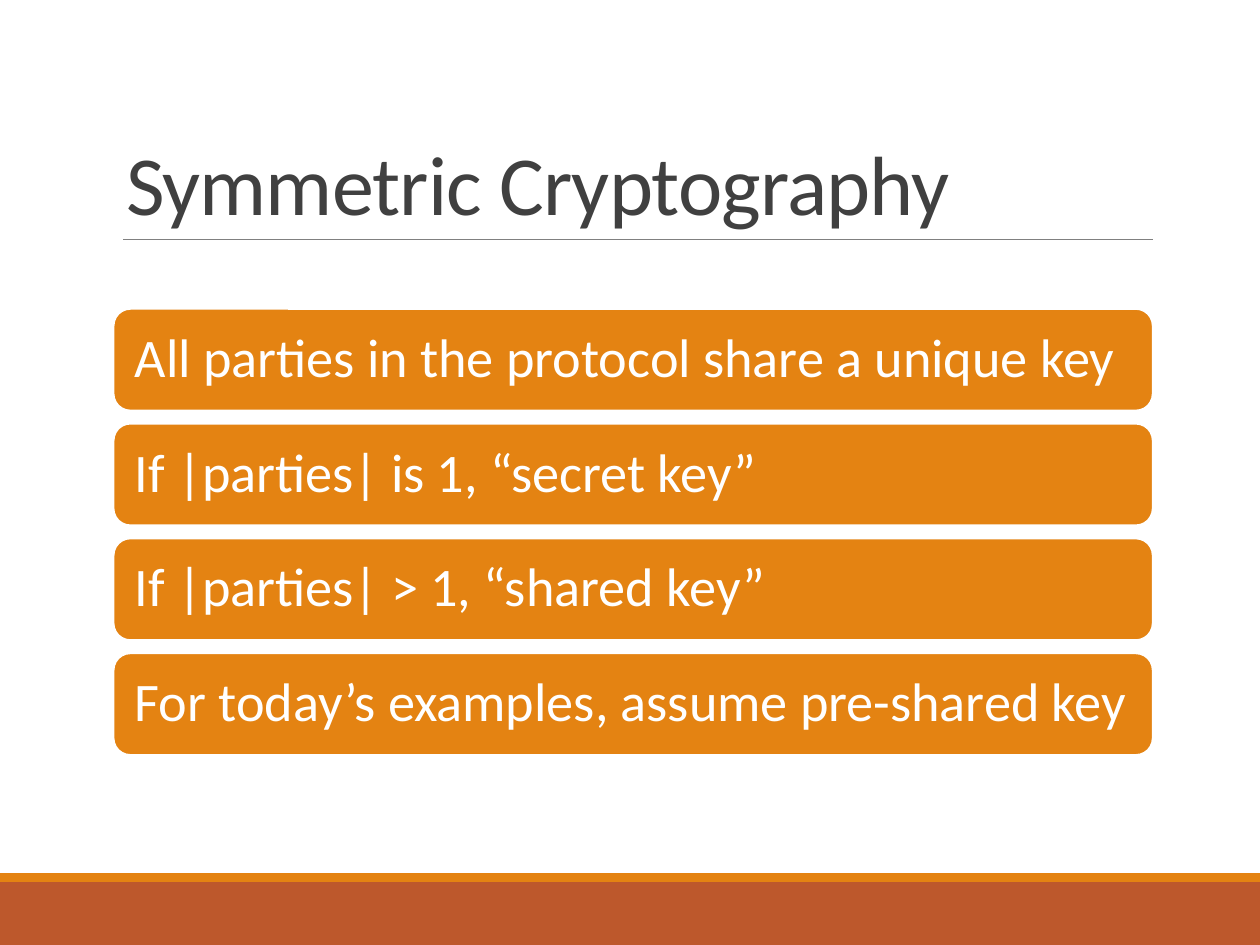
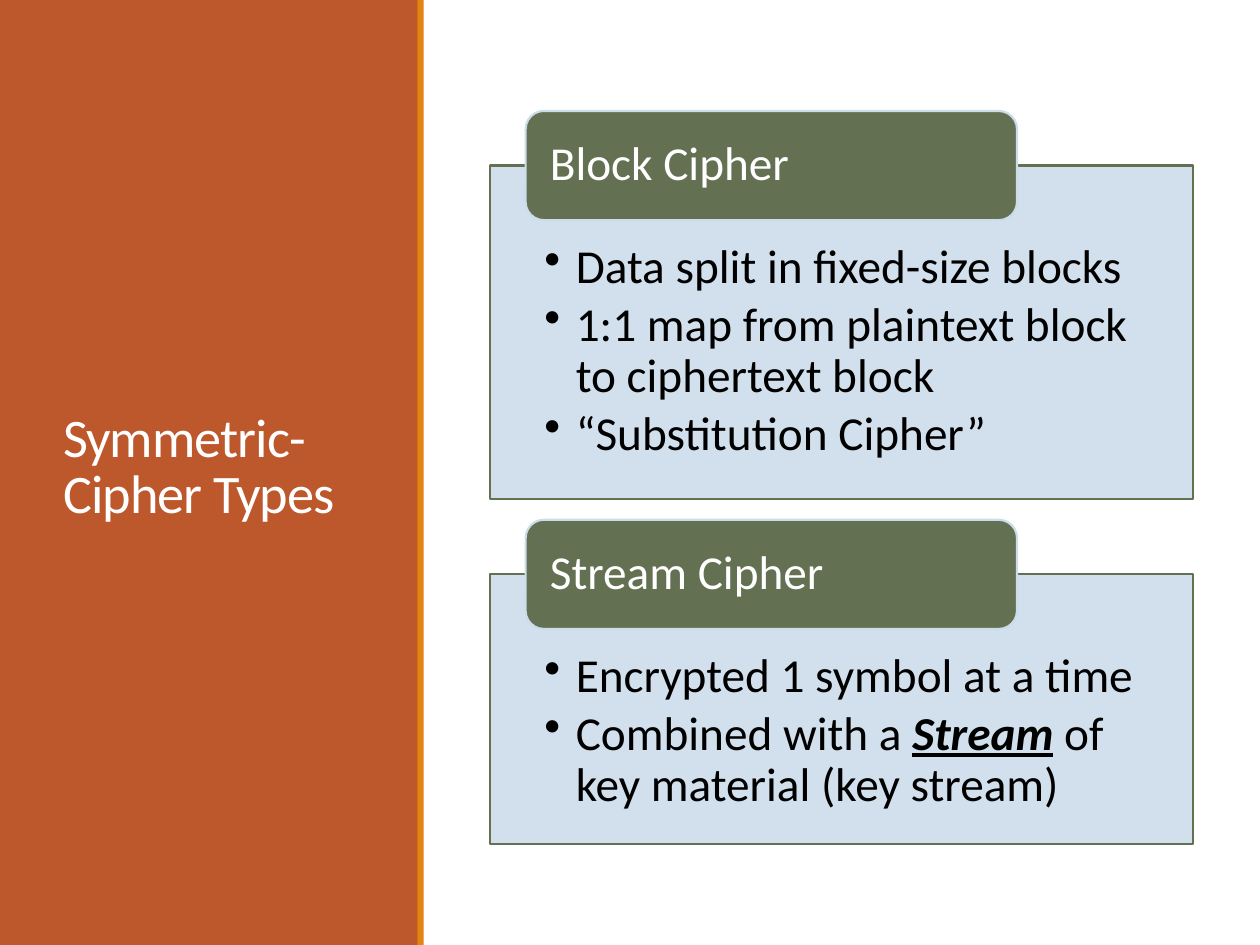
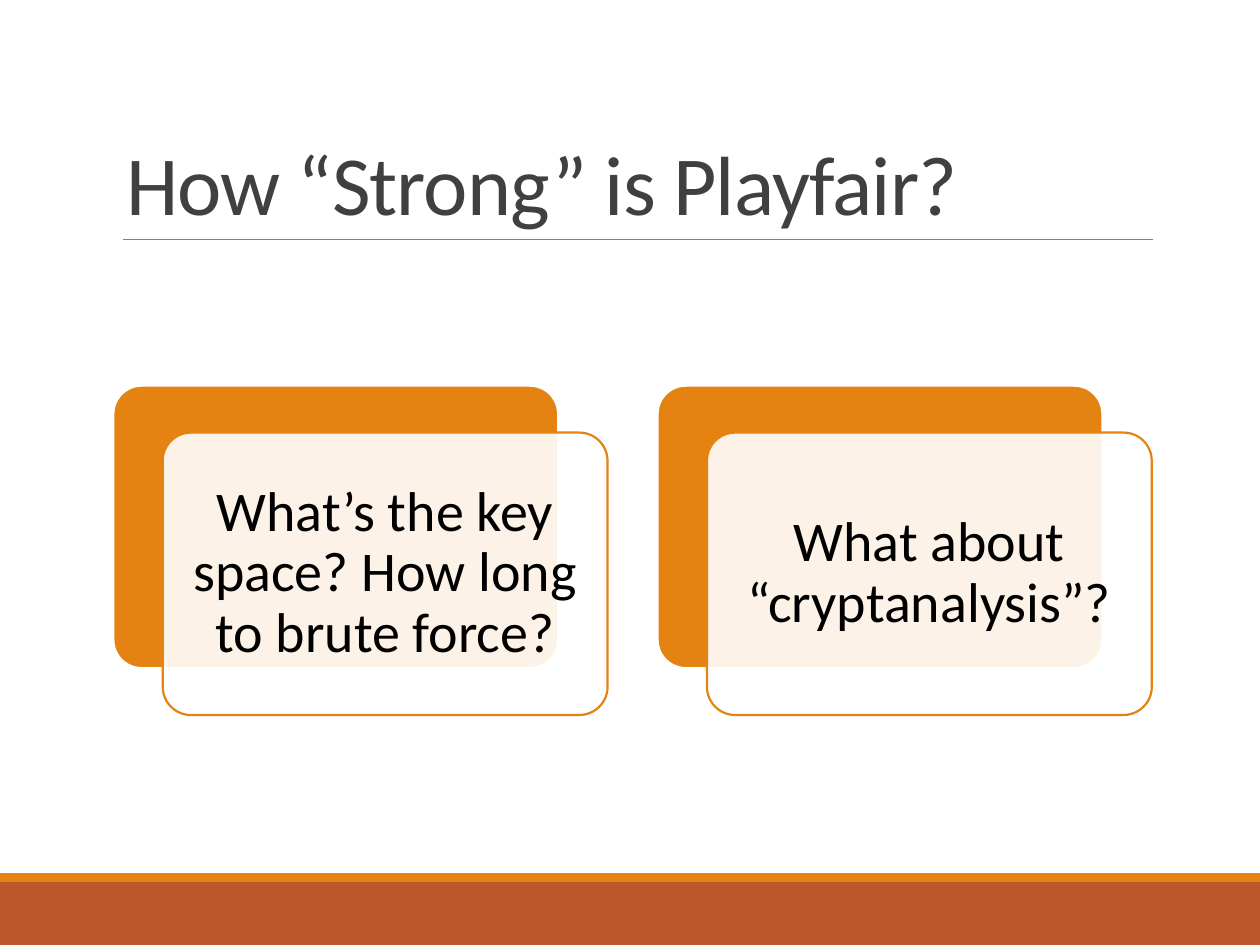
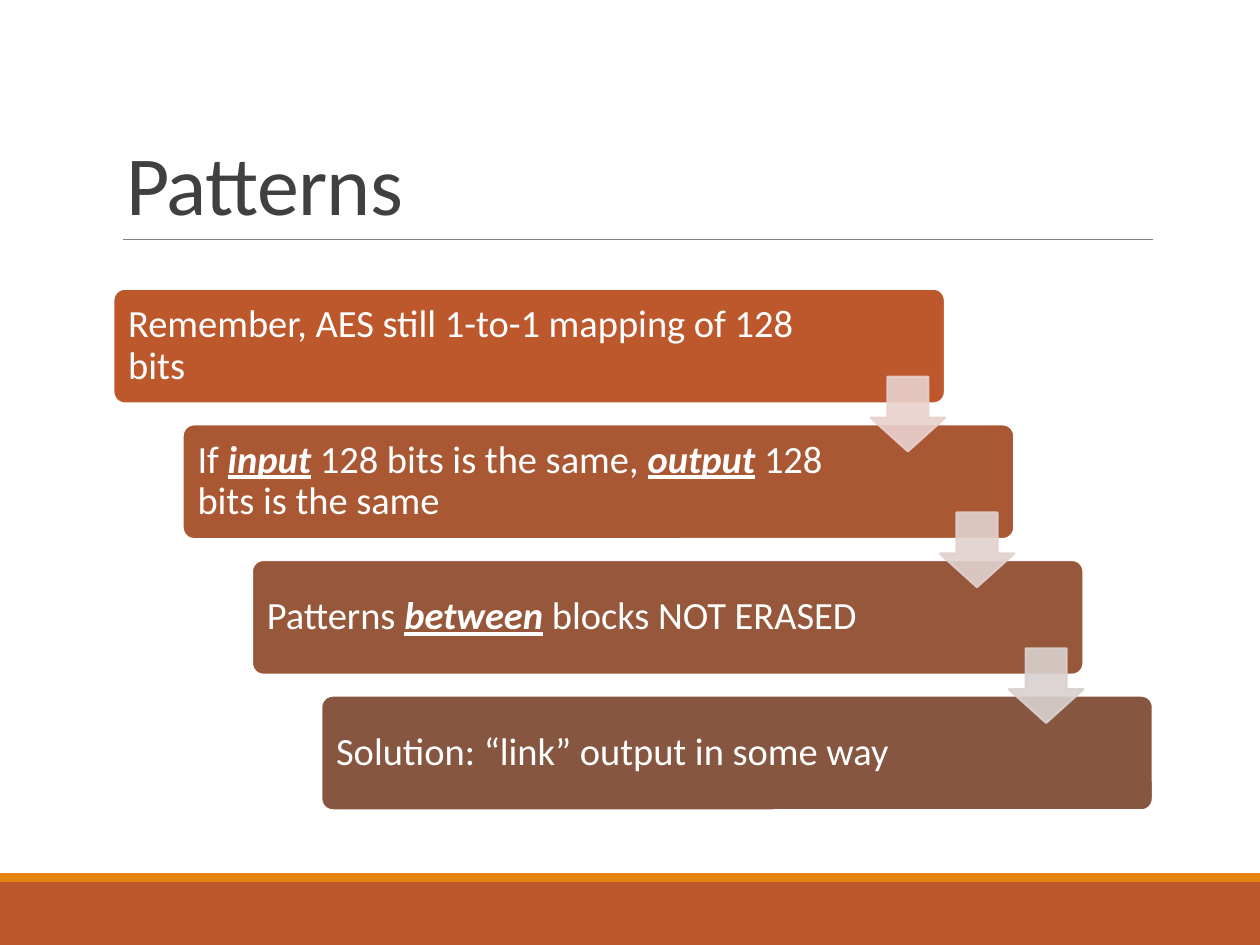
from lxml.etree import SubElement
from pptx import Presentation
from pptx.dml.color import RGBColor
from pptx.enum.shapes import MSO_CONNECTOR, MSO_SHAPE as SHAPE
from pptx.enum.text import MSO_ANCHOR as ANCHOR, MSO_AUTO_SIZE, PP_ALIGN as ALIGN
from pptx.oxml.ns import qn
from pptx.util import Pt

FONT = "Calibri"
COLORS = {
    "rust": "BD582C", "orange": "E48312", "white": "FFFFFF", "black": "000000",
    "title": "404040", "rule": "808080", "green": "637052", "pale": "CCDDEA",
    "step 1": "BD582C", "step 2": "AA5834", "step 3": "97573A", "step 4": "865640",
    "arrow 1": "E8D1CD", "arrow 2": "E1D1CE", "arrow 3": "D9D1CF",
}


def add_box(page, kind, place, fill, line=None, opacity=100, line_opacity=100):
    box = page.shapes.add_shape(kind, *[Pt(length) for length in place])
    box.shadow.inherit = False
    box.fill.solid()
    box.fill.fore_color.rgb = RGBColor.from_string(COLORS[fill])
    if line:
        box.line.color.rgb = RGBColor.from_string(COLORS[line])
        box.line.width = Pt(1.25)
    else:
        box.line.fill.background()
    for color, percent in ((box.fill, opacity), (box.line.fill, line_opacity)):
        if percent < 100:
            tag = color.fore_color._xFill.find(qn("a:srgbClr"))
            SubElement(tag, qn("a:alpha"), val=str(percent * 1000))
    return box


def write(box, lines, size, color, margins, anchor=ANCHOR.MIDDLE, align=ALIGN.LEFT, spacing=0.9):
    frame = box.text_frame
    frame.word_wrap = True
    frame.auto_size = MSO_AUTO_SIZE.NONE
    frame.vertical_anchor = anchor
    frame.margin_left, frame.margin_top, frame.margin_right, frame.margin_bottom = map(Pt, margins)
    for index, line in enumerate(lines):
        para = frame.paragraphs[0] if index == 0 else frame.add_paragraph()
        para.alignment = align
        para.line_spacing = spacing
        for part, text in enumerate(line.split("*")):
            span = para.add_run()
            span.text = text
            span.font.name = FONT
            span.font.size = Pt(size)
            span.font.color.rgb = RGBColor.from_string(COLORS[color])
            if part % 2:
                span.font.bold = span.font.italic = span.font.underline = True
    return frame


deck = Presentation()
deck.slide_width, deck.slide_height = Pt(720), Pt(540)

pages = []
for heading in ("Symmetric Cryptography", "Symmetric-Cipher Types",
                "How “Strong” is Playfair?", "Patterns"):
    page = deck.slides.add_slide(deck.slide_layouts[5])
    pages.append(page)
    title = page.shapes.title
    if heading == "Symmetric-Cipher Types":
        add_box(page, SHAPE.RECTANGLE, (0, 0, 239, 540), "rust")
        add_box(page, SHAPE.RECTANGLE, (238.5, 0, 3.6, 540), "orange")
        page.shapes._spTree.append(title._element)
        place, size, color, anchor = (28.8, 41, 182, 454), 31, "white", ANCHOR.MIDDLE
    else:
        add_box(page, SHAPE.RECTANGLE, (0, 504, 720, 36), "rust")
        add_box(page, SHAPE.RECTANGLE, (0, 499, 720, 5), "orange")
        rule = page.shapes.add_connector(
            MSO_CONNECTOR.STRAIGHT, Pt(70.5), Pt(136.8), Pt(658.8), Pt(136.8))
        rule.line.color.rgb = RGBColor.from_string(COLORS["rule"])
        rule.line.width = Pt(0.5)
        SubElement(rule._element.spPr, qn("a:effectLst"))
        place, size, color, anchor = (64.8, 22.3, 594, 114.5), 48, "title", ANCHOR.BOTTOM
    title.left, title.top, title.width, title.height = map(Pt, place)
    frame = write(title, [heading], size, color, (7.2, 3.6, 7.2, 3.6), anchor, spacing=0.85)
    frame.paragraphs[0].runs[0].font._element.set("spc", "-50")

key_page, types_page, strength_page, patterns_page = pages

for row, text in enumerate((
        "All parties in the protocol share a unique key",
        "If |parties| is 1, “secret key”",
        "If |parties| > 1, “shared key”",
        "For today’s examples, assume pre-shared key")):
    box = add_box(key_page, SHAPE.ROUNDED_RECTANGLE,
                  (64.8, 176.4 + row * 65.6, 594, 58.3), "orange", "white")
    write(box, [text], 31, "white", (9.4, 9.4, 9.4, 9.4))

for name, top, height, facts in (
        ("Block Cipher", 63.4, 190.8, (
            "Data split in fixed-size blocks",
            "1:1 map from plaintext block to ciphertext block",
            "“Substitution Cipher”")),
        ("Stream Cipher", 297, 154, (
            "Encrypted 1 symbol at a time",
            "Combined with a *Stream* of key material (key stream)"))):
    panel = add_box(types_page, SHAPE.RECTANGLE, (280, top + 31.2, 401.8, height),
                    "pale", "green", opacity=90)
    frame = write(panel, facts, 27, "black", (31, 44, 31, 15), ANCHOR.TOP)
    for para in frame.paragraphs:
        para.space_after = Pt(4)
        properties = para._p.get_or_add_pPr()
        properties.set("marL", str(Pt(18)))
        properties.set("indent", str(-Pt(18)))
        SubElement(properties, qn("a:buChar"), char="•")
    label = add_box(types_page, SHAPE.ROUNDED_RECTANGLE, (300.4, top, 280.8, 62.4),
                    "green", "pale")
    write(label, [name], 27, "white", (10.8, 0, 10.8, 0))

for column, text in enumerate((
        "What’s the key space? How long to brute force?",
        "What about “cryptanalysis”?")):
    left, top = 64.8 + column * 311, 220.4
    back = add_box(strength_page, SHAPE.ROUNDED_RECTANGLE, (left, top, 254.2, 161.4),
                   "orange", "white")
    card = add_box(strength_page, SHAPE.ROUNDED_RECTANGLE,
                   (left + 28.2, top + 26.8, 254.2, 161.4), "white", "orange", opacity=90)
    back.adjustments[0] = card.adjustments[0] = 0.1
    write(card, [text], 32, "black", (9.4, 9.4, 9.4, 9.4), align=ALIGN.CENTER)

for step, text in enumerate((
        "Remember, AES still 1-to-1 mapping of 128 bits",
        "If *input* 128 bits is the same, *output* 128 bits is the same",
        "Patterns *between* blocks NOT ERASED",
        "Solution: “link” output in some way")):
    box = add_box(patterns_page, SHAPE.ROUNDED_RECTANGLE,
                  (64.8 + step * 39.6, 165 + step * 77.5, 475.2, 65.6),
                  f"step {step + 1}", "white")
    box.adjustments[0] = 0.1
    write(box, [text], 22, "white", (6.6, 6.6, 80, 6.6))

for step in range(3):
    color = f"arrow {step + 1}"
    arrow = add_box(patterns_page, SHAPE.DOWN_ARROW,
                    (497.5 + step * 39.5, 215.3 + step * 77.6, 42.6, 42.6),
                    color, color, opacity=90, line_opacity=90)
    arrow.adjustments[0], arrow.adjustments[1] = 0.55, 0.45

deck.save("out.pptx")
